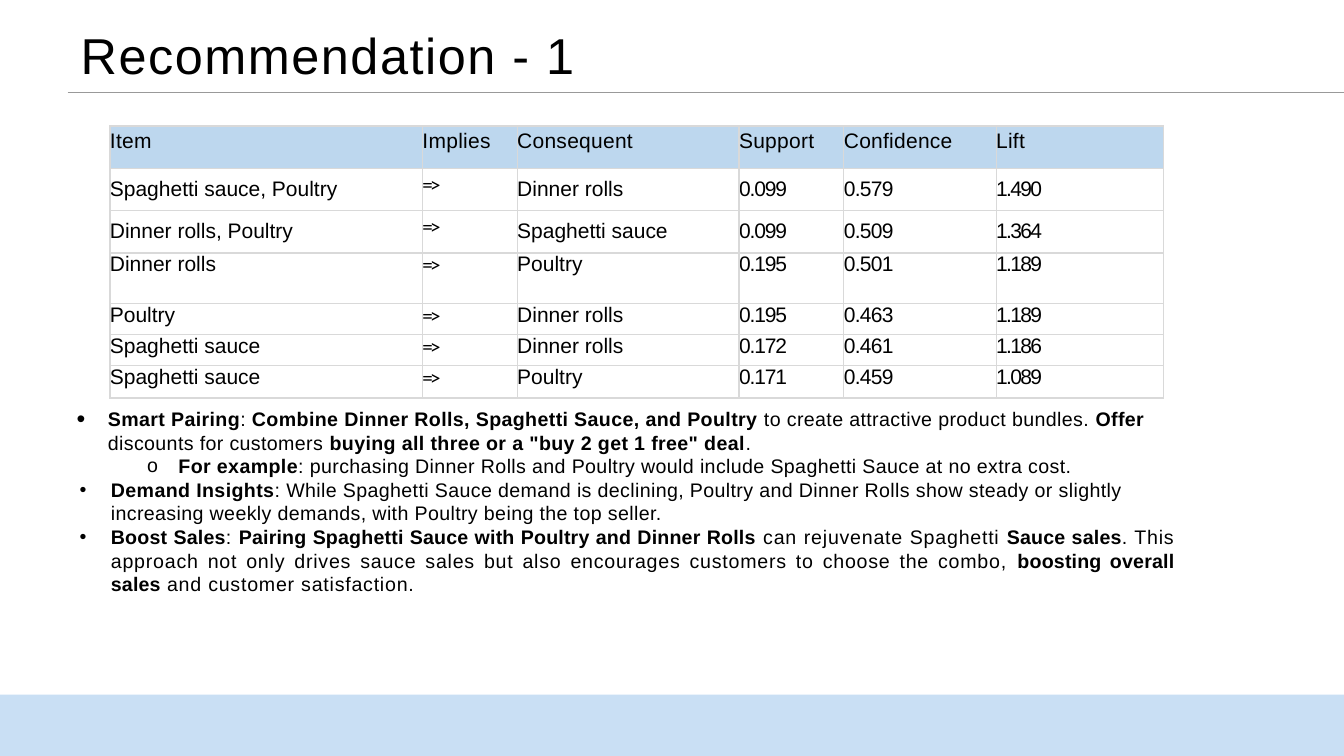
from dataclasses import dataclass

from lxml import etree
from pptx import Presentation
from pptx import util as u
from pptx.dml.color import RGBColor
from pptx.enum import shapes, text
from pptx.oxml.ns import qn


@dataclass(frozen=True)
class Theme:
    font: str = "Arial"
    arrow_font: str = "Calibri"
    ink: str = "000000"
    header: str = "BDD7EE"
    border: str = "D9D9D9"
    rule: str = "999999"
    band: str = "1975D1"
    band_opacity: int = 23
    title_size: int = 36
    table_size: int = 15
    body_size: int = 14
    title_tracking: float = 1.1
    header_tracking: float = 0.2
    arrow_tracking: float = -1.9


@dataclass(frozen=True)
class BulletStyle:
    character: str = "•"
    level: int = 0
    indent: float = 0.36
    size_percent: int = 100
    alignment: text.PP_ALIGN = text.PP_ALIGN.LEFT
    plain_tracking: float = 0.25
    bold_tracking: float = 0.25


@dataclass(frozen=True)
class Column:
    heading: str
    width: float
    tracking: float = 0


class SlideBuilder:
    def __init__(self, slide, theme):
        self.slide = slide
        self.theme = theme

    def place(self, shape, left, top, width, height):
        shape.left, shape.top = u.Inches(left), u.Inches(top)
        shape.width, shape.height = u.Inches(width), u.Inches(height)

    def prepare_frame(self, frame, top_inset, anchor):
        frame.margin_left = frame.margin_right = frame.margin_bottom = 0
        frame.margin_top = u.Inches(top_inset)
        frame.word_wrap = True
        frame.auto_size = text.MSO_AUTO_SIZE.NONE
        frame.vertical_anchor = anchor

    def add_run(self, paragraph, words, size, tracking, bold=False, font=None):
        run = paragraph.add_run()
        run.text = words
        run.font.size = u.Pt(size)
        run.font.bold = bold
        run.font.name = font or self.theme.font
        run.font.color.rgb = RGBColor.from_string(self.theme.ink)
        run.font._element.set("spc", str(round(tracking * 100)))

    def title(self, words, box):
        shape = self.slide.shapes.title
        self.place(shape, *box)
        self.prepare_frame(shape.text_frame, 0.02, text.MSO_ANCHOR.MIDDLE)
        paragraph = shape.text_frame.paragraphs[0]
        paragraph.alignment = text.PP_ALIGN.LEFT
        paragraph._p.get_or_add_pPr().set("marL", str(u.Inches(0.02)))
        self.add_run(paragraph, words, self.theme.title_size, self.theme.title_tracking)

    def add_bullet(self, paragraph, style):
        properties = paragraph._p.get_or_add_pPr()
        properties.set("marL", str(u.Inches(style.indent)))
        properties.set("marR", str(u.Inches(0.4)))
        properties.set("indent", str(u.Inches(-0.31)))
        etree.SubElement(properties, qn("a:buSzPct"), val=str(style.size_percent * 1000))
        etree.SubElement(properties, qn("a:buFont"), typeface=self.theme.font)
        etree.SubElement(properties, qn("a:buChar"), char=style.character)

    def bullets(self, items, box):
        shape = self.slide.placeholders[1]
        self.place(shape, *box)
        frame = shape.text_frame
        self.prepare_frame(frame, 0.03, text.MSO_ANCHOR.TOP)
        for index, (style, marked_text) in enumerate(items):
            paragraph = frame.add_paragraph() if index else frame.paragraphs[0]
            self.add_bullet(paragraph, style)
            paragraph.level = style.level
            paragraph.alignment = style.alignment
            paragraph.space_before = paragraph.space_after = u.Pt(0)
            paragraph.line_spacing = 1.0
            for position, words in enumerate(marked_text.split("**")):
                bold = position % 2 == 1
                tracking = style.bold_tracking if bold else style.plain_tracking
                if words:
                    self.add_run(paragraph, words, self.theme.body_size, tracking, bold)

    def add_borders(self, cell):
        properties = cell._tc.get_or_add_tcPr()
        for side in ("a:lnL", "a:lnR", "a:lnT", "a:lnB"):
            line = etree.SubElement(properties, qn(side), w=str(u.Pt(1)))
            fill = etree.SubElement(line, qn("a:solidFill"))
            etree.SubElement(fill, qn("a:srgbClr"), val=self.theme.border)

    def fill_cell(self, cell, words, tracking, inset, font=None):
        self.add_borders(cell)
        cell.fill.background()
        cell.margin_left = cell.margin_right = cell.margin_bottom = 0
        cell.margin_top = u.Inches(inset)
        cell.vertical_anchor = text.MSO_ANCHOR.TOP
        paragraph = cell.text_frame.paragraphs[0]
        paragraph.alignment = text.PP_ALIGN.JUSTIFY
        self.add_run(paragraph, words, self.theme.table_size, tracking, font=font)

    def table(self, left, top, columns, header_height, rows):
        heights = [header_height] + [height for height, inset, values in rows]
        table = self.slide.shapes.add_table(
            len(heights), len(columns), u.Inches(left), u.Inches(top),
            u.Inches(sum(column.width for column in columns)), u.Inches(sum(heights))).table
        table.first_row = table.horz_banding = False
        for table_row, height in zip(table.rows, heights):
            table_row.height = u.Inches(height)
        for index, column in enumerate(columns):
            table.columns[index].width = u.Inches(column.width)
            heading = table.cell(0, index)
            self.fill_cell(heading, column.heading, self.theme.header_tracking, 0.04)
            heading.fill.solid()
            heading.fill.fore_color.rgb = RGBColor.from_string(self.theme.header)
        for row_index, (height, inset, values) in enumerate(rows, start=1):
            for index, (column, value) in enumerate(zip(columns, values)):
                cell = table.cell(row_index, index)
                if value == "=>":
                    self.fill_cell(cell, value, self.theme.arrow_tracking,
                                   min(inset, 0.04), self.theme.arrow_font)
                else:
                    self.fill_cell(cell, value, column.tracking, inset)

    def band(self, left, top, width, height):
        shape = self.slide.shapes.add_shape(
            shapes.MSO_SHAPE.RECTANGLE, *map(u.Inches, (left, top, width, height)))
        shape.shadow.inherit = False
        shape.line.fill.background()
        shape.fill.solid()
        shape.fill.fore_color.rgb = RGBColor.from_string(self.theme.band)
        color = shape._element.spPr.find(".//" + qn("a:srgbClr"))
        etree.SubElement(color, qn("a:alpha"), val=str(self.theme.band_opacity * 1000))

    def rule(self, left, right, y):
        line = self.slide.shapes.add_connector(
            shapes.MSO_CONNECTOR.STRAIGHT, *map(u.Inches, (left, y, right, y)))
        line.line.color.rgb = RGBColor.from_string(self.theme.rule)
        line.line.width = u.Pt(1)
        etree.SubElement(line._element.spPr, qn("a:effectLst"))


SLIDE_WIDTH, SLIDE_HEIGHT, BAND_HEIGHT = 13.33, 7.5, 0.61

COLUMNS = [
    Column("Item", 3.1), Column("Implies", 0.94), Column("Consequent", 2.2),
    Column("Support", 1.04, -0.8), Column("Confidence", 1.51, -0.5), Column("Lift", 1.66, -1.2),
]
ASSOCIATION_ROWS = [
    (0.42, 0.09, ("Spaghetti sauce, Poultry", "=>", "Dinner rolls", "0.099", "0.579", "1.490")),
    (0.42, 0.09, ("Dinner rolls, Poultry", "=>", "Spaghetti sauce", "0.099", "0.509", "1.364")),
    (0.5, 0, ("Dinner rolls", "=>", "Poultry", "0.195", "0.501", "1.189")),
    (0.31, 0, ("Poultry", "=>", "Dinner rolls", "0.195", "0.463", "1.189")),
    (0.31, 0, ("Spaghetti sauce", "=>", "Dinner rolls", "0.172", "0.461", "1.186")),
    (0.32, 0, ("Spaghetti sauce", "=>", "Poultry", "0.171", "0.459", "1.089")),
]

LEAD = BulletStyle(indent=0.33, size_percent=127)
EXAMPLE = BulletStyle(character="o", level=1, indent=1.03)
POINT = BulletStyle()
JUSTIFIED_POINT = BulletStyle(
    alignment=text.PP_ALIGN.JUSTIFY, plain_tracking=0.55, bold_tracking=0.1)
ADVICE = [
    (LEAD, "**Smart Pairing**: **Combine Dinner Rolls, Spaghetti Sauce, and Poultry** to create "
           "attractive product bundles. **Offer** discounts for customers **buying all three "
           'or a "buy 2 get 1 free" deal**.'),
    (EXAMPLE, "**For example**: purchasing Dinner Rolls and Poultry would include Spaghetti "
              "Sauce at no extra cost."),
    (POINT, "**Demand Insights**: While Spaghetti Sauce demand is declining, Poultry and Dinner "
            "Rolls show steady or slightly increasing weekly demands, with Poultry being the "
            "top seller."),
    (JUSTIFIED_POINT, "**Boost Sales**: **Pairing Spaghetti Sauce with Poultry and Dinner Rolls** "
                      "can rejuvenate Spaghetti **Sauce sales**. This approach not only drives "
                      "sauce sales but also encourages customers to choose the combo, "
                      "**boosting overall sales** and customer satisfaction."),
]


def main():
    presentation = Presentation()
    presentation.slide_width = u.Inches(SLIDE_WIDTH)
    presentation.slide_height = u.Inches(SLIDE_HEIGHT)
    slide = presentation.slides.add_slide(presentation.slide_layouts[1])
    builder = SlideBuilder(slide, Theme())
    builder.title("Recommendation - 1", (0.78, 0.21, 5.04, 0.63))
    builder.table(1.09, 1.25, COLUMNS, 0.42, ASSOCIATION_ROWS)
    builder.bullets(ADVICE, (0.74, 4.01, 11.31, 1.93))
    builder.band(0, SLIDE_HEIGHT - BAND_HEIGHT, SLIDE_WIDTH, BAND_HEIGHT)
    builder.rule(0.67, SLIDE_WIDTH, 0.92)
    presentation.save("out.pptx")


if __name__ == "__main__":
    main()
